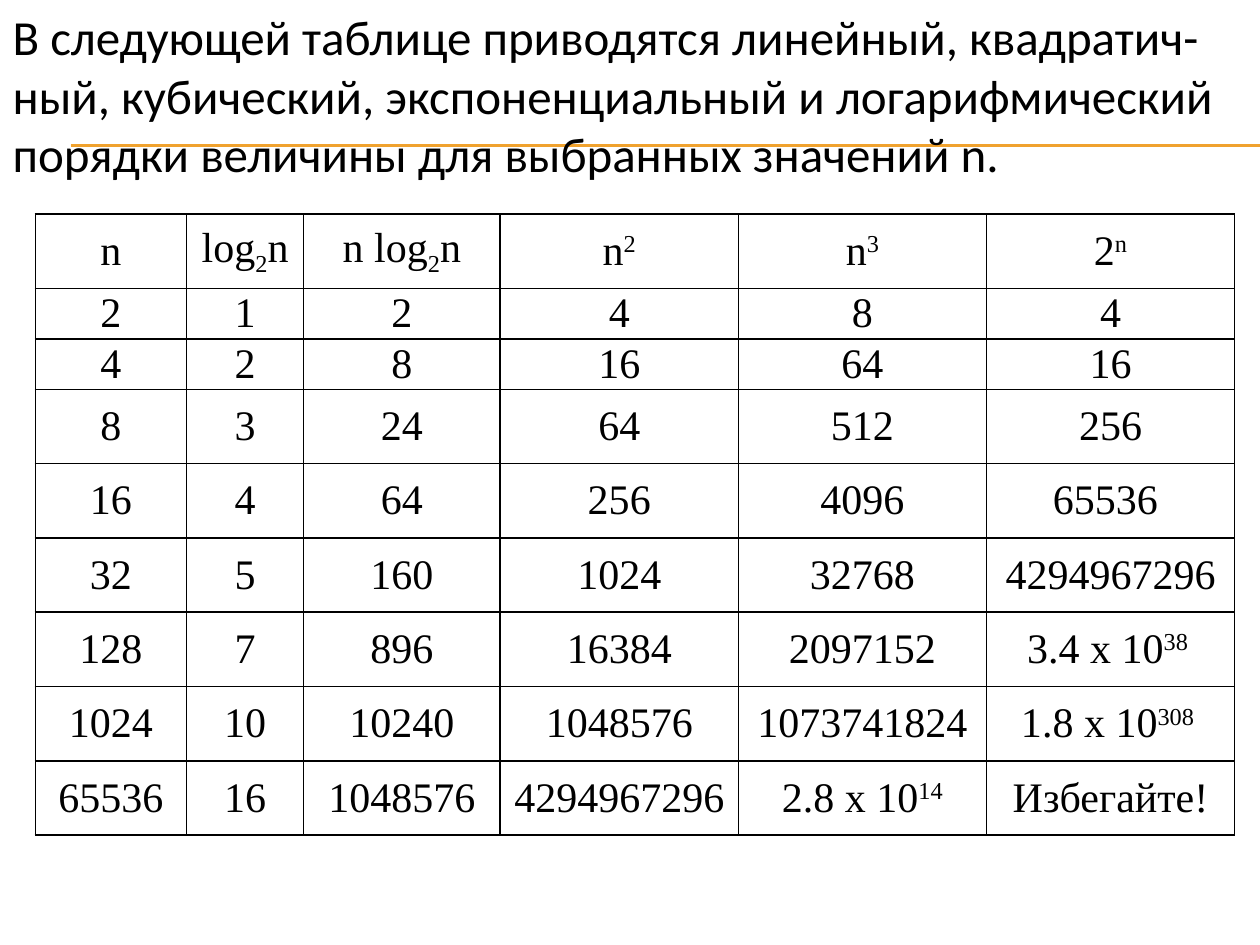
from lxml.etree import SubElement
from pptx import Presentation
from pptx.dml.color import RGBColor
from pptx.enum.text import MSO_ANCHOR, MSO_AUTO_SIZE, PP_ALIGN
from pptx.oxml.ns import qn
from pptx.util import Inches, Pt

WIDTH, HEIGHT = 10, 7.5
COLORS = {"text": "000000", "border": "000000", "rule": "F0A22E"}
BASELINES = {"_": "-25000", "^": "30000"}

INTRO = ("В следующей таблице приводятся линейный, квадратич-ный, кубический, "
         "экспоненциальный и логарифмический порядки величины для выбранных значений n.")

# "|" separates runs; a leading "_" marks a subscript, "^" a superscript.
GROWTH_ROWS = [
    ["n", "lоg|_2|n", "n lоg|_2|n", "n|^2", "n|^3", "2|^n"],
    ["2", "1", "2", "4", "8", "4"],
    ["4", "2", "8", "16", "64", "16"],
    ["8", "3", "24", "64", "512", "256"],
    ["16", "4", "64", "256", "4096", "65536 "],
    ["32", "5", "160", "1024", "32768", "4294967296"],
    ["128", "7", "896", "16384", "2097152", "3.4 х 10|^38 "],
    ["1024", "10", "10240", "1048576", "1073741824", "1.8 х 10|^308 "],
    ["65536", "16", "1048576", "4294967296", "2.8 х 10|^14", "Избегайте!"],
]
COLUMN_WIDTHS = [1.2, 0.93, 1.56, 1.89, 1.97, 1.97]
ROW_HEIGHT, COMPACT_HEIGHT = 0.59, 0.4
COMPACT_ROWS = (1, 2)


def write_text(paragraph, text, font="Times New Roman", size=24, color="text",
               align=PP_ALIGN.CENTER):
    paragraph.alignment = align
    for part in text.split("|"):
        baseline = BASELINES.get(part[0])
        run = paragraph.add_run()
        run.text = part[1:] if baseline else part
        run.font.name = font
        run.font.size = Pt(size)
        run.font.color.rgb = RGBColor.from_string(COLORS[color])
        if baseline:
            run.font._element.set("baseline", baseline)


def add_rule(slide, top):
    line = slide.shapes.add_connector(1, Inches(0.56), Inches(top), Inches(WIDTH), Inches(top))
    line.line.color.rgb = RGBColor.from_string(COLORS["rule"])
    line.line.width = Pt(0.75)
    SubElement(line._element.spPr, qn("a:effectLst"))


def format_title(title):
    title.left, title.top = 0, 0
    title.width, title.height = Inches(WIDTH), Inches(1.51)
    frame = title.text_frame
    frame.word_wrap = True
    frame.auto_size = MSO_AUTO_SIZE.NONE
    frame.vertical_anchor = MSO_ANCHOR.TOP
    write_text(frame.paragraphs[0], INTRO, font="Calibri", size=28, align=PP_ALIGN.LEFT)


def add_borders(cell, width=1):
    properties = cell._tc.get_or_add_tcPr()
    for side in ("lnL", "lnR", "lnT", "lnB"):
        border = SubElement(properties, qn(f"a:{side}"), w=str(Pt(width)))
        fill = SubElement(border, qn("a:solidFill"))
        SubElement(fill, qn("a:srgbClr"), val=COLORS["border"])


def fill_cell(cell, text):
    cell.margin_left = cell.margin_right = Inches(0.07)
    cell.margin_top = cell.margin_bottom = 0
    cell.vertical_anchor = MSO_ANCHOR.MIDDLE
    add_borders(cell)
    cell.fill.background()
    write_text(cell.text_frame.paragraphs[0], text)


def add_growth_table(slide):
    heights = [COMPACT_HEIGHT if row in COMPACT_ROWS else ROW_HEIGHT
               for row in range(len(GROWTH_ROWS))]
    table = slide.shapes.add_table(
        len(heights), len(COLUMN_WIDTHS), Inches(0.28), Inches(1.7),
        Inches(sum(COLUMN_WIDTHS)), Inches(sum(heights))).table
    table.first_row = table.horz_banding = False
    for column, width in zip(table.columns, COLUMN_WIDTHS):
        column.width = Inches(width)
    for row, height, texts in zip(table.rows, heights, GROWTH_ROWS):
        row.height = Inches(height)
        for cell, text in zip(row.cells, texts):
            fill_cell(cell, text)


def main():
    presentation = Presentation()
    presentation.slide_width, presentation.slide_height = Inches(WIDTH), Inches(HEIGHT)
    slide = presentation.slides.add_slide(presentation.slide_layouts[5])
    for top in (1.15, 1.16):
        add_rule(slide, top)
    title = slide.shapes.title
    format_title(title)
    slide.shapes._spTree.append(title._element)  # text lies over the rules
    add_growth_table(slide)
    presentation.save("out.pptx")


if __name__ == "__main__":
    main()
